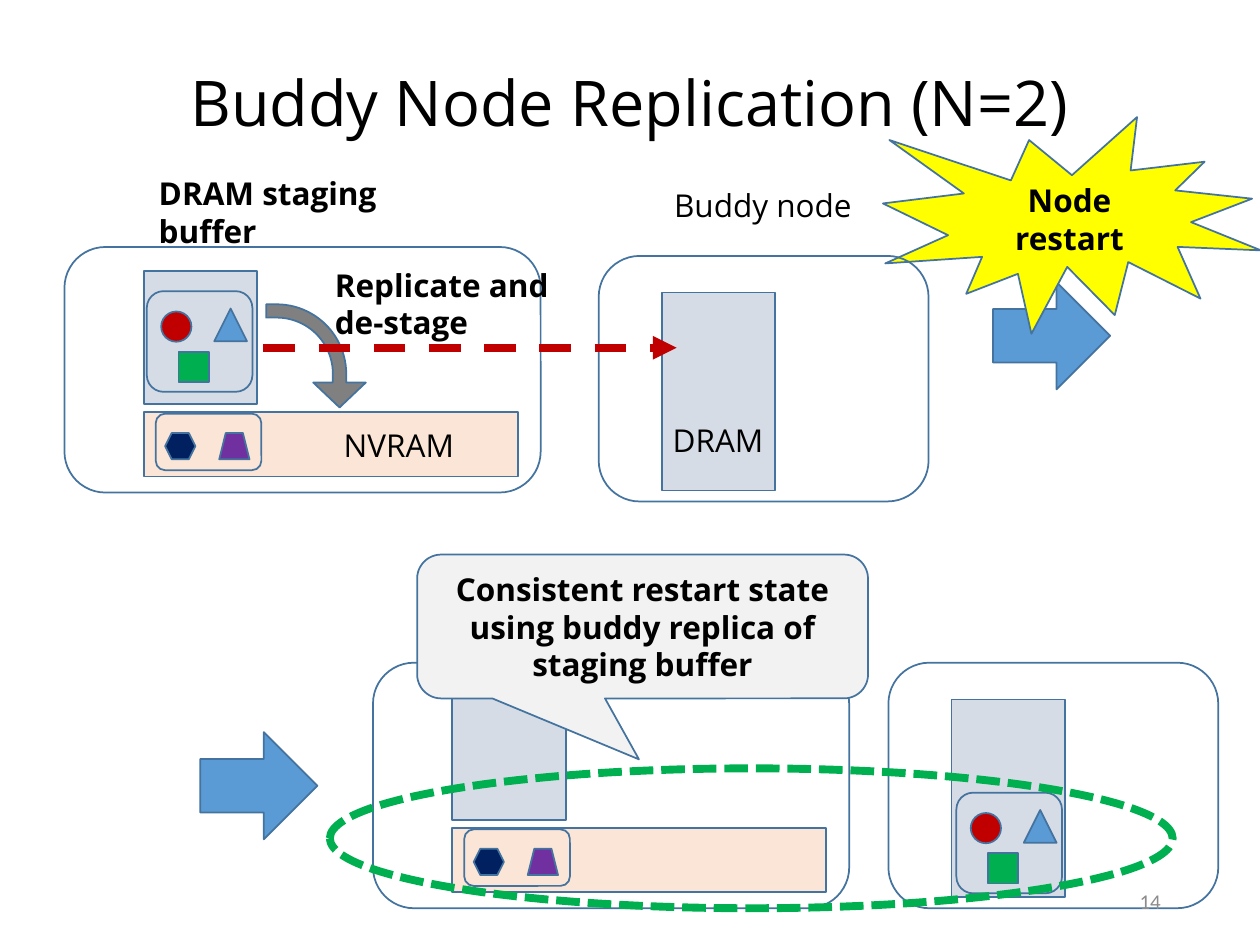
import pptx
import pptx.util
import pptx.dml.color
import pptx.enum.dml
import pptx.enum.shapes
import pptx.enum.text
import pptx.oxml

Cm, Pt = pptx.util.Cm, pptx.util.Pt
KIND = pptx.enum.shapes.MSO_SHAPE
DASH = pptx.enum.dml.MSO_LINE
ALIGN = pptx.enum.text.PP_ALIGN
MID = pptx.enum.text.MSO_ANCHOR.MIDDLE
NS = 'xmlns:a="http://schemas.openxmlformats.org/drawingml/2006/main"'
EDGE, BLUE, GREY, PEACH = "43739E", "5B9BD5", "D6DCE5", "FBE5D6"
RED, GREEN = "C00000", "00B050"


def rgb(code):
    return pptx.dml.color.RGBColor.from_string(code)


def stroke(line, color=EDGE, width=1, dash=None):
    line.color.rgb = rgb(color)
    line.width = Pt(width)
    if dash:
        line.dash_style = dash


def write(frame, text, size=18, bold=False, align=ALIGN.LEFT, color="000000",
          font="Open Sans"):
    frame.word_wrap = True
    frame.text = text
    par = frame.paragraphs[0]
    par.alignment = align
    for run in par.runs:
        run.font.name = font
        run.font.size = Pt(size)
        run.font.bold = bold
        run.font.color.rgb = rgb(color)


def shape(slide, kind, left, top, width, height, fill=None, text=None,
          adjust=()):
    item = slide.shapes.add_shape(kind, Cm(left), Cm(top), Cm(width), Cm(height))
    item.shadow.inherit = False
    for i, value in enumerate(adjust):
        item.adjustments[i] = value
    if fill:
        item.fill.solid()
        item.fill.fore_color.rgb = rgb(fill)
    else:
        item.fill.background()
    stroke(item.line)
    if text:
        item.text_frame.vertical_anchor = MID
        write(item.text_frame, text, bold=True, align=ALIGN.CENTER)
    return item


def label(slide, text, left, top, width, height=1.02, **style):
    box = slide.shapes.add_textbox(Cm(left), Cm(top), Cm(width), Cm(height))
    write(box.text_frame, text, **style)
    return box


# Node with a DRAM buffer above its NVRAM
def node(slide, x, y):
    shape(slide, KIND.ROUNDED_RECTANGLE, x, y, 9.6, 4.95)
    shape(slide, KIND.RECTANGLE, x + 1.6, y + 0.48, 2.29, 2.69, GREY)
    shape(slide, KIND.RECTANGLE, x + 1.6, y + 3.33, 7.54, 1.3, PEACH)
    shape(slide, KIND.ROUNDED_RECTANGLE, x + 1.84, y + 3.36, 2.13, 1.14)
    shape(slide, KIND.HEXAGON, x + 2.03, y + 3.75, 0.61, 0.53, "002060")
    shape(slide, KIND.TRAPEZOID, x + 3.12, y + 3.75, 0.61, 0.53, "7030A0")


# Buddy node with DRAM only
def buddy(slide, x, y):
    shape(slide, KIND.ROUNDED_RECTANGLE, x, y, 6.65, 4.95)
    shape(slide, KIND.RECTANGLE, x + 1.27, y + 0.74, 2.29, 3.99, GREY)


# Staged data held in DRAM
def data(slide, x, y):
    shape(slide, KIND.ROUNDED_RECTANGLE, x, y, 2.13, 2.03)
    shape(slide, KIND.OVAL, x + 0.29, y + 0.41, 0.61, 0.61, RED)
    shape(slide, KIND.ISOSCELES_TRIANGLE, x + 1.36, y + 0.35, 0.66, 0.66, BLUE)
    shape(slide, KIND.RECTANGLE, x + 0.64, y + 1.22, 0.61, 0.61, GREEN)


# Block arrow between stages
def step(slide, x, y):
    shape(slide, KIND.RIGHT_ARROW, x, y, 2.36, 2.16, BLUE)


def heading(slide, x, y, width, height):
    title = slide.shapes.title
    title.left, title.top = Cm(x), Cm(y)
    title.width, title.height = Cm(width), Cm(height)
    frame = title.text_frame
    write(frame, "Buddy Node Replication (N=2)", size=36, align=ALIGN.CENTER)
    frame.auto_size = pptx.enum.text.MSO_AUTO_SIZE.NONE
    frame.vertical_anchor = MID
    frame.paragraphs[0].line_spacing = 0.9


# Dashed arrow that carries the replica to the buddy
def copy_line(slide, x, y, width):
    kind = pptx.enum.shapes.MSO_CONNECTOR.STRAIGHT
    line = slide.shapes.add_connector(kind, Cm(x), Cm(y), Cm(x + width), Cm(y))
    stroke(line.line, RED, 4.5, DASH.DASH)
    tail = pptx.oxml.parse_xml(f'<a:tailEnd {NS} type="triangle"/>')
    line.line._get_or_add_ln().append(tail)
    line._element.spPr.append(pptx.oxml.parse_xml(f"<a:effectLst {NS}/>"))


# Upper half: replication, then node failure
def before(slide, x, y):
    bend = shape(slide, KIND.BENT_ARROW, x + 4.03, y + 1.19, 2.08, 2.01,
                 "808080", adjust=(0.134, 0.264, 0.25, 0.698))
    bend.rotation = 90
    step(slide, x + 18.72, y + 0.71)
    shape(slide, KIND.EXPLOSION1, x + 16.5, y - 2.62, 7.62, 4.37, "FFFF00",
          "Node restart")
    node(slide, x, y)
    buddy(slide, x + 10.77, y + 0.18)
    data(slide, x + 1.66, y + 0.89)
    copy_line(slide, x + 4.01, y + 2.03, 8.33)
    label(slide, "DRAM staging buffer", x + 1.65, y - 1.6, 6.63, bold=True)
    label(slide, "Replicate and de-stage", x + 5.2, y + 0.25, 5.11, 1.8,
          bold=True)
    label(slide, "Buddy node", x + 12.04, y - 1.35, 4.72)
    label(slide, "DRAM", x + 12.01, y + 3.38, 2.39)
    label(slide, "NVRAM", x + 5.38, y + 3.48, 4.01)


# Lower half: restart from the replica
def after(slide, x, y):
    step(slide, x - 3.48, y + 1.4)
    node(slide, x, y)
    buddy(slide, x + 10.39, y)
    data(slide, x + 11.76, y + 2.62)
    ring = shape(slide, KIND.OVAL, x - 0.87, y + 2.13, 16.99, 2.82)
    stroke(ring.line, GREEN, 4.5, DASH.SQUARE_DOT)
    shape(slide, KIND.ROUNDED_RECTANGULAR_CALLOUT, x + 0.89, y - 2.18, 9.09,
          2.9, "F2F2F2",
          "Consistent restart state using buddy replica of staging buffer",
          (-0.008, 0.924, 0.167))


def main():
    deck = pptx.Presentation()
    deck.slide_width, deck.slide_height = Cm(25.4), Cm(19.05)
    slide = deck.slides.add_slide(deck.slide_layouts[5])
    heading(slide, 1.75, 1.02, 21.89, 2.24)
    before(slide, 1.3, 4.98)
    after(slide, 7.52, 13.36)
    # Slide number
    page = label(slide, "14", 17.93, 17.65, 5.72, size=12, align=ALIGN.RIGHT,
                 color="8C8C8C", font="Calibri")
    page.text_frame.vertical_anchor = MID
    deck.save("out.pptx")


if __name__ == "__main__":
    main()
